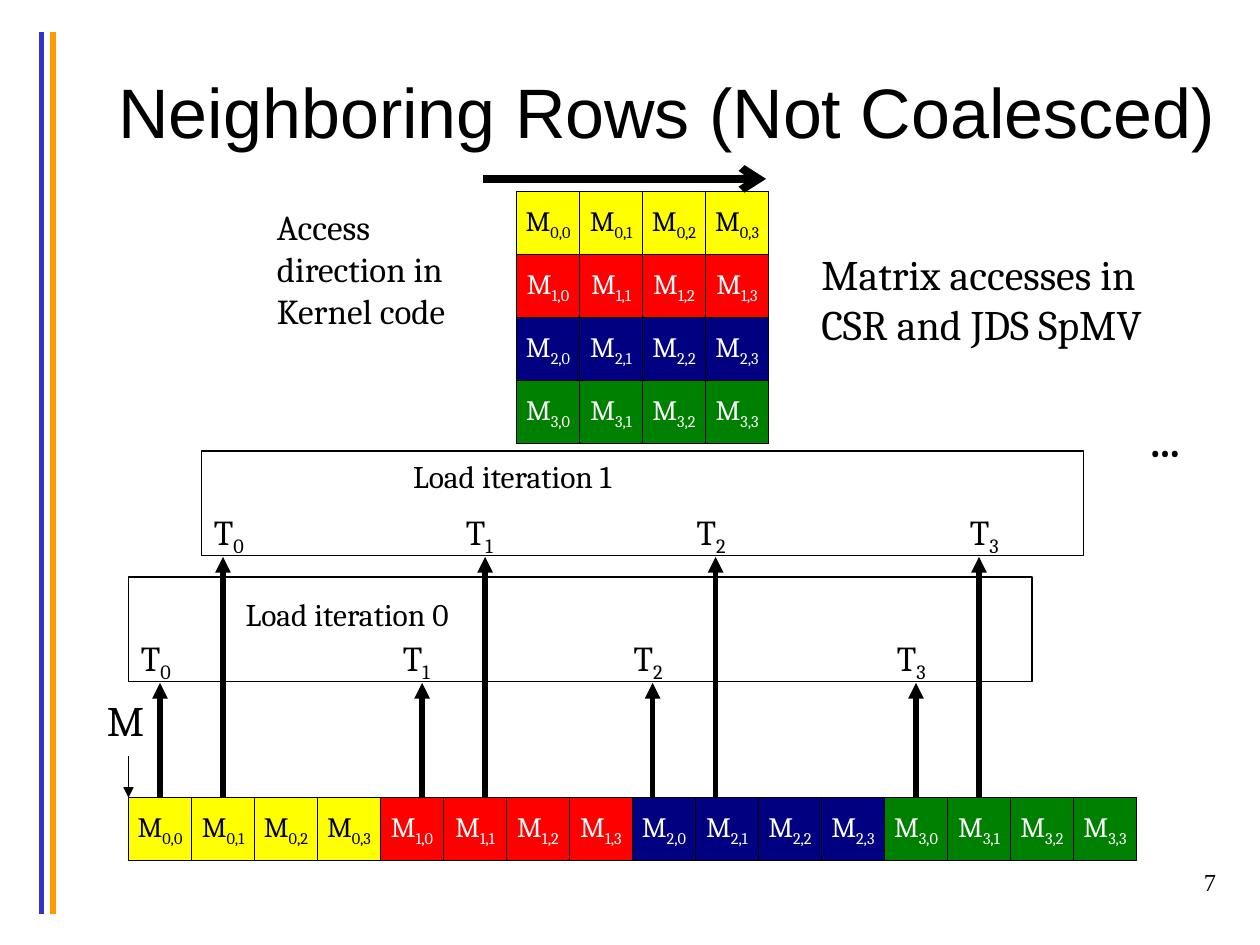
from lxml import etree
from pptx import Presentation
from pptx.dml.color import RGBColor
from pptx.enum.shapes import MSO_CONNECTOR, MSO_SHAPE
from pptx.enum.text import MSO_ANCHOR, MSO_AUTO_SIZE, PP_ALIGN
from pptx.oxml.ns import qn
from pptx.util import Inches, Pt

LINE = MSO_CONNECTOR.STRAIGHT
RECT = MSO_SHAPE.RECTANGLE
LEFT, MID, RIGHT = PP_ALIGN.LEFT, PP_ALIGN.CENTER, PP_ALIGN.RIGHT
GROW, FIXED = MSO_AUTO_SIZE.SHAPE_TO_FIT_TEXT, MSO_AUTO_SIZE.NONE
CENTER = MSO_ANCHOR.MIDDLE
hue = RGBColor.from_string


def write(shape, word, size, sub="", color="000000", font="Cambria",
          align=LEFT, wrap=False, bold=False):
    frame = shape.text_frame
    frame.word_wrap = wrap
    para = frame.paragraphs[0]
    para.alignment = align
    for text in filter(None, (word, sub)):
        run = para.add_run()
        run.text = text
        run.font.size = Pt(size)
        run.font.name = font
        run.font.bold = bold
        run.font.color.rgb = hue(color)
        if text == sub:
            run._r.get_or_add_rPr().set("baseline", "-25000")


def draw(x1, y1, x2, y2, width, color="000000", head=None):
    line = slide.shapes.add_connector(
        LINE, Inches(x1), Inches(y1), Inches(x2), Inches(y2))
    line.line.color.rgb = hue(color)
    line.line.width = Pt(width)
    if head:
        etree.SubElement(line.line._get_or_add_ln(), qn("a:tailEnd"), type=head)
    etree.SubElement(line._element.spPr, qn("a:effectLst"))
    return line


deck = Presentation()
deck.slide_width, deck.slide_height = Inches(10), Inches(7.5)
slide = deck.slides.add_slide(deck.slide_layouts[5])

draw(0.33, 0.25, 0.33, 7.25, 3, "3333CC")
draw(0.42, 0.25, 0.42, 7.25, 3, "FF9900")

title = slide.shapes.title
title.left, title.top = Inches(0.75), Inches(0.25)
title.width, title.height = Inches(9.08), Inches(1.25)
title.text_frame.auto_size = FIXED
title.text_frame.vertical_anchor = CENTER
write(title, "Neighboring Rows (Not Coalesced)", 40,
      font="Arial", align=MID, wrap=True)

for x, y, w, h in [(1.02, 4.58, 7.17, 0.83), (1.6, 3.58, 7, 0.83)]:
    frame = slide.shapes.add_shape(RECT, Inches(x), Inches(y), Inches(w), Inches(h))
    frame.shadow.inherit = False
    frame.fill.background()
    frame.line.color.rgb = hue("000000")
    frame.line.width = Pt(0.75)

side = 0.5
fills = ["FFFF00", "FF0000", "000080", "008000"]
cells = {}
for row, fill in enumerate(fills):
    ink = "000000" if row == 0 else "FFFFFF"
    for col in range(4):
        grid = (4.1 + col * side, 1.52 + row * side)
        strip = (1.02 + (4 * row + col) * side, 6.33)
        for x, y in (grid, strip):
            cell = slide.shapes.add_shape(
                RECT, Inches(x), Inches(y), Inches(side), Inches(side))
            cell.shadow.inherit = False
            cell.fill.solid()
            cell.fill.fore_color.rgb = hue(fill)
            cell.line.color.rgb = hue("000000")
            cell.line.width = Pt(0.75)
            cell.text_frame.vertical_anchor = CENTER
            write(cell, "M", 16, f"{row},{col}", ink, align=MID)
        cells[row, col] = cell

loads = [
    (5, 5.42, [1.02, 3.1, 4.93, 7.02], [1.27, 3.35, 5.18, 7.27]),
    (4, 4.42, [1.6, 3.6, 5.43, 7.6], [1.77, 3.85, 5.68, 7.77]),
]
for step, (top, tip, lefts, stems) in enumerate(loads):
    for row, (left, stem) in enumerate(zip(lefts, stems)):
        box = slide.shapes.add_textbox(
            Inches(left), Inches(top), Inches(0.47), Inches(0.44))
        box.text_frame.auto_size = GROW
        write(box, "T", 20, str(row))
        arrow = draw(stem, 6.33, stem, tip, 3, head="triangle")
        if row in (0, 3):
            arrow.begin_connect(cells[row, step], 0)

draw(1.02, 6, 1.02, 6.33, 0.75, head="triangle")
draw(3.83, 1.42, 6.08, 1.42, 4.5, head="arrow")

notes = [
    ("M", 24, 0.75, 5.46, 0.52, 0.5, False),
    ("Load iteration 0", 18, 1.85, 4.67, 1.81, 0.4, False),
    ("Load iteration 1", 18, 3.18, 3.58, 1.81, 0.4, False),
    ("…", 24, 9.02, 3.25, 0.53, 0.5, False),
    ("Access direction in Kernel code", 20, 2.1, 1.58, 1.67, 1.43, True),
    ("Matrix accesses in CSR and JDS SpMV", 24, 6.42, 1.92, 3.14, 0.91, True),
]
for text, size, x, y, w, h, wrap in notes:
    box = slide.shapes.add_textbox(Inches(x), Inches(y), Inches(w), Inches(h))
    box.text_frame.auto_size = GROW
    write(box, text, size, wrap=wrap, bold=text == "…")

page = slide.shapes.add_textbox(Inches(7.67), Inches(6.83), Inches(2.08), Inches(0.5))
write(page, "7", 14, font="Times New Roman", align=RIGHT, wrap=True)

deck.save("out.pptx")
